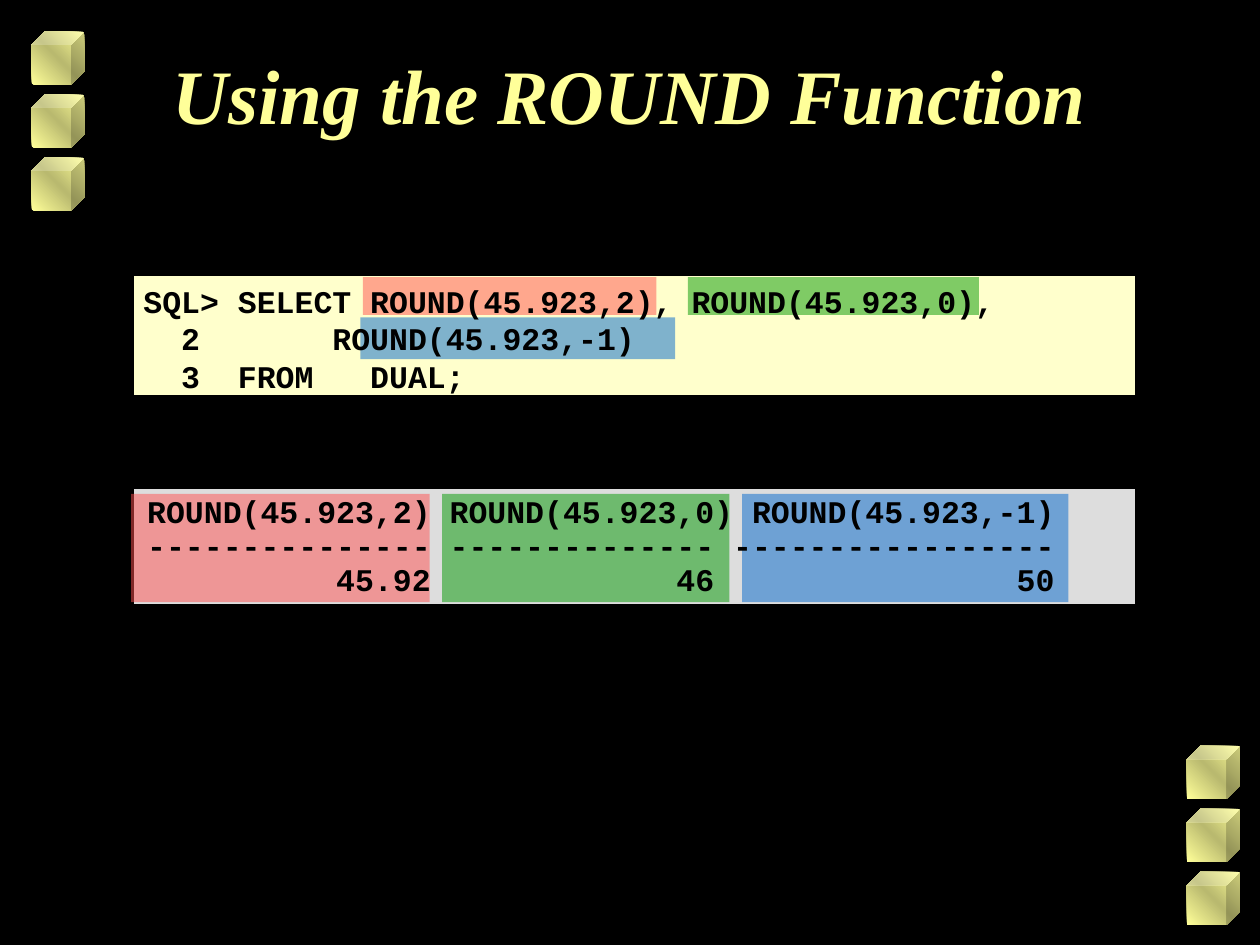
import copy
from dataclasses import dataclass
from typing import NamedTuple

import pptx
import pptx.dml.color
import pptx.enum.shapes
import pptx.enum.text
import pptx.util


@dataclass(frozen=True)
class Theme:
    background: str = "000000"
    ink: str = "000000"
    title: str = "FFFF99"
    cube_light: str = "FFFF99"
    cube_dark: str = "B9B96F"
    code_panel: str = "FFFFCC"
    result_panel: str = "DDDDDD"
    red: str = "FF5050"
    green: str = "009900"
    blue: str = "0066CC"
    title_font: str = "Times New Roman"
    code_font: str = "Courier New"
    title_size: int = 44
    code_size: int = 18


class Area(NamedTuple):
    column: float
    row: float
    columns: float
    rows: float


class Panel(NamedTuple):
    area: Area
    color: str


class Highlight(NamedTuple):
    color: str
    result: Area
    call: Area


class Listing(NamedTuple):
    area: Area
    anchor: pptx.enum.text.MSO_ANCHOR
    spacing: float
    lines: tuple[str, ...]


THEME = Theme()
SHAPE = pptx.enum.shapes.MSO_SHAPE
ANCHOR = pptx.enum.text.MSO_ANCHOR
COLUMNS, ROWS = 40, 30
WIDTH, HEIGHT = pptx.util.Inches(10), pptx.util.Inches(7.5)

CUBE_SIDE, CUBE_STEP, CUBES_PER_STACK = 1.68, 2, 3
CUBE_STACKS = ((1, 1), (37.68, 23.68))
TITLE_AREA = Area(3, 1.32, 34, 5)
RESULT_ROW, RESULT_ROWS = 15.68, 3.44

PANELS = (
    Panel(Area(4.2, 15.48, 31.88, 3.76), THEME.result_panel),
    Panel(Area(4.2, 8.72, 31.88, 3.88), THEME.code_panel),
)
HIGHLIGHTS = (
    Highlight(THEME.red, Area(4.16, RESULT_ROW, 9.48, RESULT_ROWS), Area(11.52, 8.8, 9.32, 1.2)),
    Highlight(THEME.green, Area(14.04, RESULT_ROW, 9.12, RESULT_ROWS), Area(21.84, 8.8, 9.24, 1.2)),
    Highlight(THEME.blue, Area(23.56, RESULT_ROW, 10.36, RESULT_ROWS), Area(11.44, 10.08, 10, 1.32)),
)
LISTINGS = (
    Listing(Area(4.16, 7.28, 32, 6.92), ANCHOR.MIDDLE, 1.0, (
        "SQL> SELECT ROUND(45.923,2), ROUND(45.923,0),",
        "  2  \t\tROUND(45.923,-1)",
        "  3  FROM   DUAL;",
    )),
    Listing(Area(4.28, 15.56, 31.76, 3.64), ANCHOR.TOP, 0.9, (
        "ROUND(45.923,2) ROUND(45.923,0) ROUND(45.923,-1)",
        "--------------- -------------- -----------------",
        "          45.92             46                50",
    )),
)


def rgb(color: str) -> pptx.dml.color.RGBColor:
    return pptx.dml.color.RGBColor.from_string(color)


def emu(area: Area) -> tuple[int, int, int, int]:
    return (
        round(area.column * WIDTH / COLUMNS),
        round(area.row * HEIGHT / ROWS),
        round(area.columns * WIDTH / COLUMNS),
        round(area.rows * HEIGHT / ROWS),
    )


def add_block(shapes, kind, area: Area):
    block = shapes.add_shape(kind, *emu(area))
    block.shadow.inherit = False
    block.line.fill.background()
    return block


def add_cube(page, column: float, row: float) -> None:
    cube = add_block(page.shapes, SHAPE.CUBE, Area(column, row, CUBE_SIDE, CUBE_SIDE))
    cube.fill.gradient()
    cube.fill.gradient_angle = 45
    for stop, position in zip(cube.fill.gradient_stops, (0, 1)):
        stop.color.rgb = rgb(THEME.cube_light)
        stop.position = position
    stop_list = cube.element.xpath(".//a:gsLst")[0]
    stop_list.insert(1, copy.deepcopy(stop_list[0]))
    middle = cube.fill.gradient_stops[1]
    middle.position = 0.5
    middle.color.rgb = rgb(THEME.cube_dark)


def add_panel(page, panel: Panel) -> None:
    block = add_block(page.shapes, SHAPE.RECTANGLE, panel.area)
    block.fill.solid()
    block.fill.fore_color.rgb = rgb(panel.color)
    block.line.color.rgb = rgb(THEME.ink)
    block.line.width = pptx.util.Pt(2)


def add_highlight(page, highlight: Highlight) -> None:
    pair = page.shapes.add_group_shape()
    for area in (highlight.result, highlight.call):
        block = add_block(pair.shapes, SHAPE.RECTANGLE, area)
        block.fill.solid()
        block.fill.fore_color.rgb = rgb(highlight.color)
        color = block.element.xpath("./p:spPr/a:solidFill/a:srgbClr")[0]
        alpha = color.makeelement(pptx.oxml.ns.qn("a:alpha"), {"val": "50000"})
        color.append(alpha)


def add_span(para, text: str, font: str, size: int, color: str, italic: bool = False) -> None:
    span = para.add_run()
    span.text = text
    span.font.name = font
    span.font.size = pptx.util.Pt(size)
    span.font.bold = True
    span.font.italic = italic
    span.font.color.rgb = rgb(color)


def add_listing(page, listing: Listing) -> None:
    frame = page.shapes.add_textbox(*emu(listing.area)).text_frame
    frame.word_wrap = True
    frame.vertical_anchor = listing.anchor
    for index, line in enumerate(listing.lines):
        para = frame.add_paragraph() if index else frame.paragraphs[0]
        para.line_spacing = listing.spacing
        add_span(para, line, THEME.code_font, THEME.code_size, THEME.ink)


def set_title(page, text: str) -> None:
    title = page.shapes.title
    title.left, title.top, title.width, title.height = emu(TITLE_AREA)
    title.text_frame.vertical_anchor = ANCHOR.TOP
    para = title.text_frame.paragraphs[0]
    para.alignment = pptx.enum.text.PP_ALIGN.CENTER
    add_span(para, text, THEME.title_font, THEME.title_size, THEME.title, italic=True)


def main() -> None:
    deck = pptx.Presentation()
    deck.slide_width, deck.slide_height = WIDTH, HEIGHT
    page = deck.slides.add_slide(deck.slide_layouts[5])
    page.background.fill.solid()
    page.background.fill.fore_color.rgb = rgb(THEME.background)
    for column, row in CUBE_STACKS:
        for index in range(CUBES_PER_STACK):
            add_cube(page, column, row + index * CUBE_STEP)
    for panel in PANELS:
        add_panel(page, panel)
    set_title(page, "Using the ROUND Function")
    for highlight in HIGHLIGHTS:
        add_highlight(page, highlight)
    for listing in LISTINGS:
        add_listing(page, listing)
    deck.save("out.pptx")


if __name__ == "__main__":
    main()
